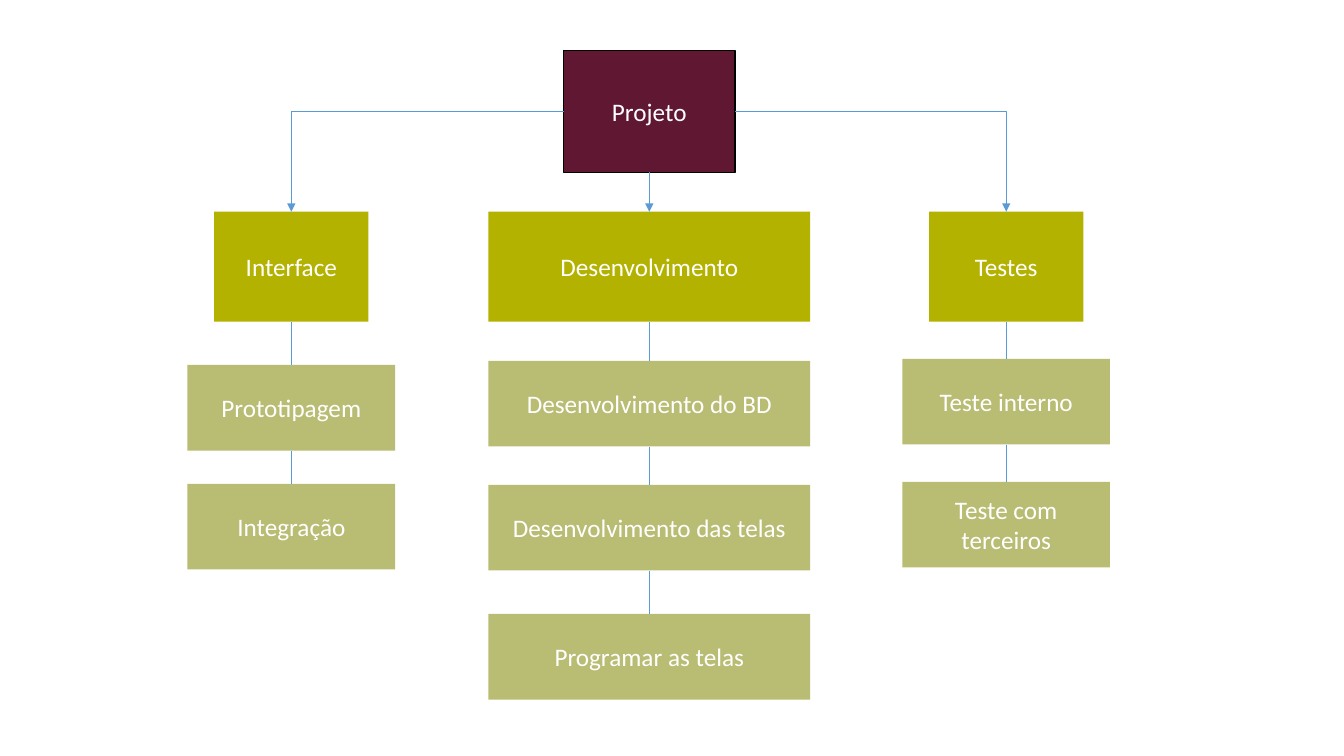
from lxml import etree
from pptx import Presentation
from pptx.dml.color import RGBColor
from pptx.enum.shapes import MSO_CONNECTOR as Connector, MSO_SHAPE as Shape
from pptx.enum.text import MSO_ANCHOR as Anchor, PP_ALIGN as Align
from pptx.oxml.ns import qn
from pptx.util import Inches, Pt

WINE = RGBColor(0x5F, 0x17, 0x32)
OLIVE = RGBColor(0xB3, 0xB2, 0x00)
SAGE = RGBColor(0xB9, 0xBC, 0x73)
BLUE = RGBColor(0x5B, 0x9B, 0xD5)
BLACK = RGBColor(0x00, 0x00, 0x00)
WHITE = RGBColor(0xFF, 0xFF, 0xFF)

# Connection sites of a rectangle
TOP, LEFT, BOTTOM, RIGHT = range(4)

deck = Presentation()
deck.slide_width, deck.slide_height = Inches(13.33), Inches(7.5)
page = deck.slides.add_slide(deck.slide_layouts[6])


def add_box(text, center, top, width, height, color):
    box = page.shapes.add_shape(Shape.RECTANGLE, Inches(center - width / 2),
                                Inches(top), Inches(width), Inches(height))
    box.shadow.inherit = False
    box.fill.solid()
    box.fill.fore_color.rgb = color
    box.line.fill.background()
    box.text_frame.word_wrap = True
    box.text_frame.vertical_anchor = Anchor.MIDDLE
    para = box.text_frame.paragraphs[0]
    para.text = text
    para.alignment = Align.CENTER
    para.font.name = "Calibri"
    para.font.size = Pt(18)
    para.font.color.rgb = WHITE
    return box


def link(upper, lower, site=BOTTOM, arrow=False):
    kind = Connector.STRAIGHT if site == BOTTOM else Connector.ELBOW
    line = page.shapes.add_connector(kind, 0, 0, 0, 0)
    line.begin_connect(upper, site)
    line.end_connect(lower, TOP)
    line.line.color.rgb = BLUE
    line.line.width = Pt(0.5)
    properties = line._element.spPr
    if kind == Connector.ELBOW:
        # A single bend: sideways, then down
        properties.find(qn("a:prstGeom")).set("prst", "bentConnector2")
    if arrow:
        outline = properties.find(qn("a:ln"))
        etree.SubElement(outline, qn("a:tailEnd"), type="triangle")
    etree.SubElement(properties, qn("a:effectLst"))


# Root of the breakdown
project = add_box("Projeto", 6.44, 0.5, 1.7, 1.21, WINE)
project.line.color.rgb = BLACK
project.line.width = Pt(1)

# Branches: name, center, width, task width, link site, tasks with their tops
branches = [
    ("Interface", 2.89, 1.53, 2.06, LEFT,
     [("Prototipagem", 3.62), ("Integração", 4.8)]),
    ("Desenvolvimento", 6.44, 3.19, 3.19, BOTTOM,
     [("Desenvolvimento do BD", 3.58), ("Desenvolvimento das telas", 4.81),
      ("Programar as telas", 6.09)]),
    ("Testes", 9.98, 1.53, 2.06, RIGHT,
     [("Teste interno", 3.56), ("Teste com terceiros", 4.78)]),
]

for name, center, width, task_width, site, tasks in branches:
    branch = add_box(name, center, 2.1, width, 1.09, OLIVE)
    link(project, branch, site, arrow=True)

    # Tasks chained below the branch
    above = branch
    for task_name, top in tasks:
        task = add_box(task_name, center, top, task_width, 0.85, SAGE)
        link(above, task)
        above = task

deck.save("out.pptx")
